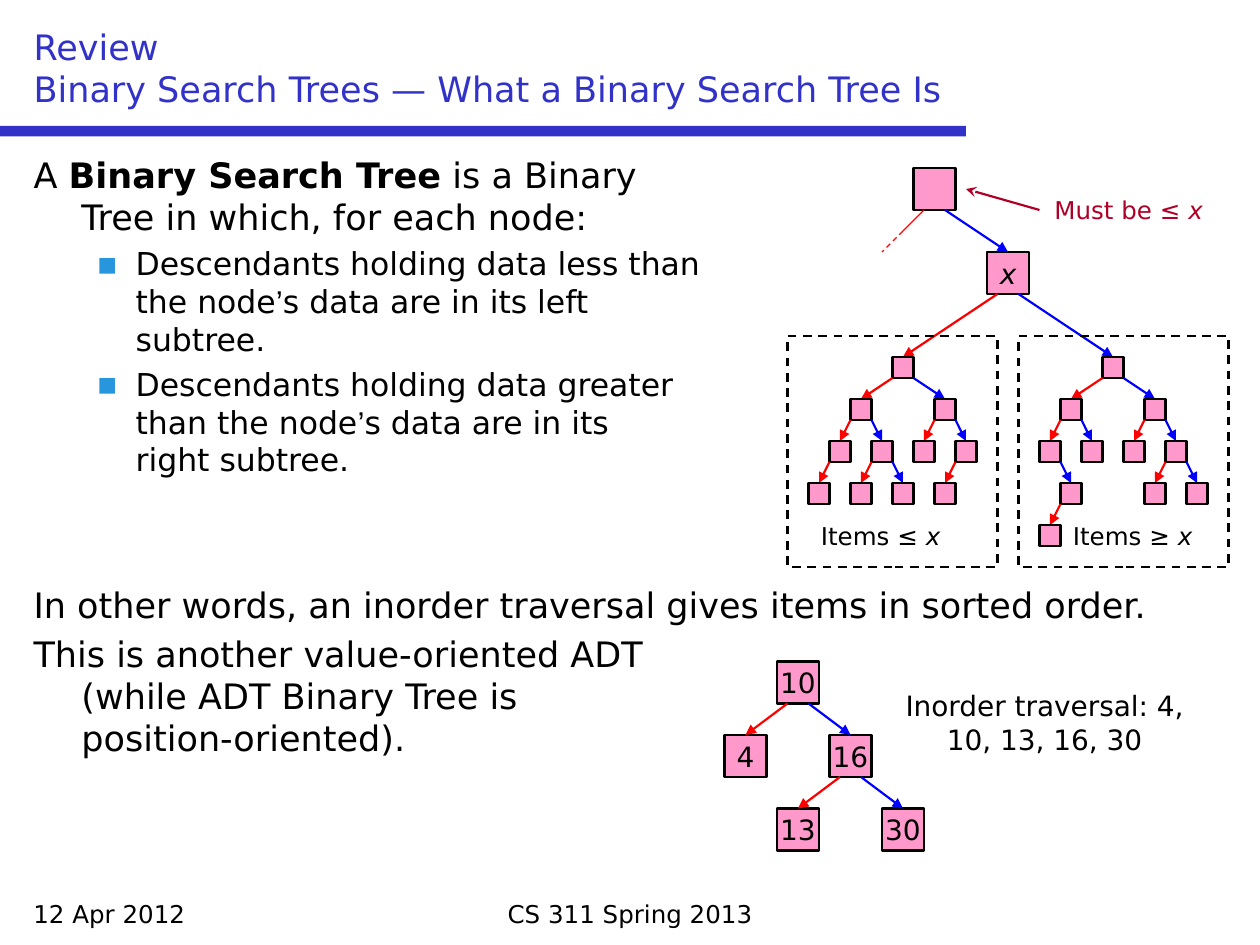
from dataclasses import dataclass

from lxml import etree
from pptx import Presentation
from pptx.dml.color import RGBColor
from pptx.enum.dml import MSO_LINE
from pptx.enum.shapes import MSO_CONNECTOR, MSO_SHAPE
from pptx.enum.text import MSO_ANCHOR, PP_ALIGN
from pptx.oxml.ns import qn
from pptx.util import Inches, Pt

RECT = MSO_SHAPE.RECTANGLE
STRAIGHT = MSO_CONNECTOR.STRAIGHT
DASH = MSO_LINE.DASH
LEFT, CENTER = PP_ALIGN.LEFT, PP_ALIGN.CENTER
TOP, MIDDLE, BOTTOM = MSO_ANCHOR.TOP, MSO_ANCHOR.MIDDLE, MSO_ANCHOR.BOTTOM


@dataclass(frozen=True)
class Theme:
    font: str = "DejaVu Sans"
    quote_font: str = "Arial"
    title: str = "3232C8"
    text: str = "000000"
    bullet: str = "2896DC"
    node: str = "FF99CC"
    left: str = "FF0000"
    right: str = "0000FF"
    note: str = "AF0028"
    head_size: int = 20
    item_size: int = 18
    node_size: int = 16
    label_size: int = 14
    line: float = 1.25
    thin: float = 0.75


@dataclass(frozen=True)
class Node:
    cx: float
    top: float
    size: int = 2
    label: str = ""
    italic: bool = False


T = Theme()
BIG = 4
LEAF = (None, None)
LEFT_TREE = (((LEAF, None), (LEAF, LEAF)), (LEAF, (LEAF, None)))
RIGHT_TREE = (((None, (LEAF, None)), LEAF), (LEAF, (LEAF, LEAF)))


def u(n):
    return Inches(n / 12)


def rgb(value):
    return RGBColor.from_string(value)


def style(font, size, color=T.text):
    font.name, font.size = T.font, Pt(size)
    font.color.rgb = rgb(color)


def add_text(p, text):
    for i, part in enumerate(text.split("\n")):
        if i:
            p.add_line_break()
        r = p.add_run()
        r.text = part
    return r


def add_box(s, x, y, w, h, fill=None, line=None, dash=None):
    sp = s.shapes.add_shape(RECT, u(x), u(y), u(w), u(h))
    sp.shadow.inherit = False
    if fill:
        sp.fill.solid()
        sp.fill.fore_color.rgb = rgb(fill)
    else:
        sp.fill.background()
    if line:
        sp.line.color.rgb = rgb(line)
        sp.line.width = Pt(T.line)
        sp.line.dash_style = dash
    else:
        sp.line.fill.background()
    return sp


def add_line(s, x1, y1, x2, y2, color, width=T.line, dash=None, tail=None):
    c = s.shapes.add_connector(STRAIGHT, u(x1), u(y1), u(x2), u(y2))
    c.line.color.rgb = rgb(color)
    c.line.width = Pt(width)
    c.line.dash_style = dash
    props = c._element.spPr
    if tail:
        etree.SubElement(props.find(qn("a:ln")), qn("a:tailEnd"), type=tail)
    etree.SubElement(props, qn("a:effectLst"))


def add_node(s, node):
    sp = add_box(s, node.cx - node.size / 2, node.top, node.size, node.size, T.node, T.text)
    if node.label:
        tf = sp.text_frame
        tf.word_wrap, tf.vertical_anchor = False, MIDDLE
        p = tf.paragraphs[0]
        p.alignment = CENTER
        style(p.font, T.node_size)
        p.font.italic = node.italic
        add_text(p, node.label)


def add_edge(s, parent, child):
    side = 1 if child.cx > parent.cx else -1
    color = T.right if side > 0 else T.left
    add_line(s, parent.cx + side, parent.top + parent.size, child.cx, child.top,
             color, tail="triangle")


def add_subtree(s, tree, node, spread=4):
    add_node(s, node)
    for side, branch in zip((-1, 1), tree):
        if branch:
            child = Node(node.cx + side * spread, node.top + 4)
            add_edge(s, node, child)
            add_subtree(s, branch, child, 2)


def add_label(s, x, y, w, h, text, size=T.label_size, color=T.text, align=LEFT, variable=""):
    tf = s.shapes.add_textbox(u(x), u(y), u(w), u(h)).text_frame
    tf.word_wrap = True
    p = tf.paragraphs[0]
    p.alignment = align
    style(p.font, size, color)
    add_text(p, text)
    if variable:
        add_text(p, variable).font.italic = True


def place(sp, x, y, w, h, anchor):
    sp.left, sp.top, sp.width, sp.height = u(x), u(y), u(w), u(h)
    sp.text_frame.vertical_anchor = anchor
    return sp.text_frame


def add_title(s, text):
    p = place(s.shapes.title, 2, 2, 116, 9, BOTTOM).paragraphs[0]
    p.alignment = LEFT
    style(p.font, T.head_size, T.title)
    add_text(p, text)


def add_paragraph(tf, parts, level=0, before=4):
    first = not tf.paragraphs[0].runs
    p = tf.paragraphs[0] if first else tf.add_paragraph()
    p.level = level
    p.space_before = Pt(0 if first else before)
    pr = p._p.get_or_add_pPr()
    margin, hang = (0.81, 0.31) if level else (0.38, 0.38)
    pr.set("marL", str(Inches(margin)))
    pr.set("indent", str(-Inches(hang)))
    if level:
        etree.SubElement(etree.SubElement(pr, qn("a:buClr")), qn("a:srgbClr"), val=T.bullet)
        etree.SubElement(pr, qn("a:buFont"), typeface=T.font)
        etree.SubElement(pr, qn("a:buChar"), char="▪")
    else:
        etree.SubElement(pr, qn("a:buNone"))
    style(p.font, T.item_size if level else T.head_size)
    for text in parts:
        r = add_text(p, text)
        if text == "’":
            r.font.name = T.quote_font
        elif text == "Binary Search Tree":
            r.font.bold = True


def add_body(s):
    tf = place(s.placeholders[1], 2, 14, 116, 70, TOP)
    add_paragraph(tf, ["A ", "Binary Search Tree", " is a Binary\nTree in which, for each node:"])
    add_paragraph(tf, ["Descendants holding data less than\nthe node", "’",
                       "s data are in its left\nsubtree."], 1)
    add_paragraph(tf, ["Descendants holding data greater\nthan the node", "’",
                       "s data are in its\nright subtree."], 1)
    add_paragraph(tf, ["In other words, an inorder traversal gives items in sorted order."], before=60)
    add_paragraph(tf, ["This is another value-oriented ADT\n(while ADT Binary Tree is\nposition-oriented)."])


def add_order_diagram(s):
    top, x = Node(89, 16, BIG), Node(96, 24, BIG, "x", True)
    add_node(s, top)
    add_node(s, x)
    add_edge(s, top, x)
    add_line(s, 88, 20, 86, 22, T.left, T.thin)
    add_line(s, 86, 22, 84, 24, T.left, T.thin, DASH)
    for cx, tree, frame, label, sign in ((86, LEFT_TREE, 75, 77, "≤"), (106, RIGHT_TREE, 97, 101, "≥")):
        root = Node(cx, 34)
        add_edge(s, x, root)
        add_subtree(s, tree, root)
        add_box(s, frame, 32, 20, 22, line=T.text, dash=DASH)
        add_label(s, label, 49, 15, 4, f"Items {sign} ", variable="x")
    add_line(s, 99, 20, 92, 18, T.note, tail="stealth")
    add_label(s, 99, 18, 17, 4, "Must be ≤ ", color=T.note, align=CENTER, variable="x")


def add_number_tree(s):
    ten, four, sixteen, thirteen, thirty = nodes = [
        Node(cx, top, BIG, label) for cx, top, label in
        ((76, 63, "10"), (71, 70, "4"), (81, 70, "16"), (76, 77, "13"), (86, 77, "30"))]
    for node in nodes:
        add_node(s, node)
    for parent, child in ((ten, four), (ten, sixteen), (sixteen, thirteen), (sixteen, thirty)):
        add_edge(s, parent, child)
    add_label(s, 85, 65, 29, 8, "Inorder traversal: 4, 10, 13, 16, 30", T.node_size, align=CENTER)


def main():
    prs = Presentation()
    prs.slide_width, prs.slide_height = Inches(10), Inches(7.5)
    s = prs.slides.add_slide(prs.slide_layouts[1])
    add_box(s, 0, 12, 92, 1, T.title)
    add_title(s, "Review\nBinary Search Trees — What a Binary Search Tree Is")
    add_body(s)
    add_label(s, 2, 85, 28, 4, "12 Apr 2012")
    add_label(s, 31, 85, 58, 4, "CS 311 Spring 2013", align=CENTER)
    add_order_diagram(s)
    add_number_tree(s)
    prs.save("out.pptx")


if __name__ == "__main__":
    main()
